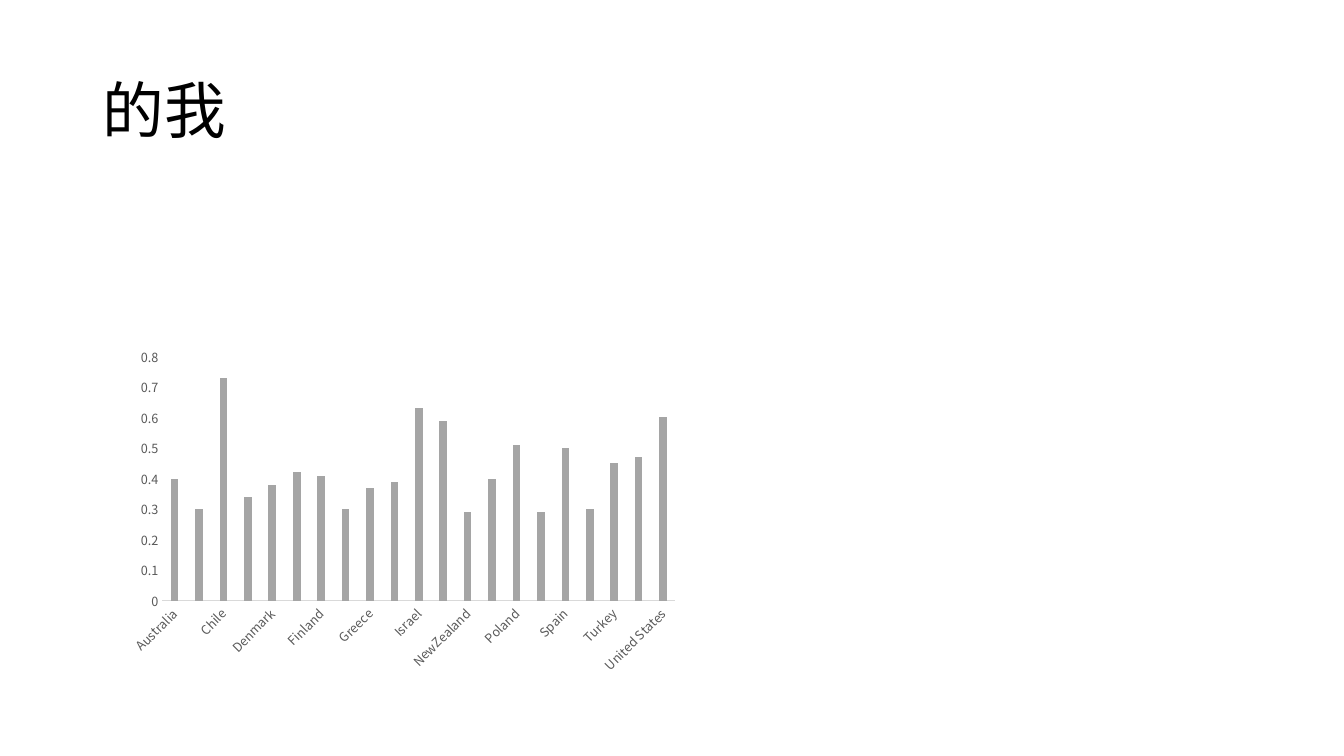
"""Build a slide with a title and a column chart of values by country."""
from dataclasses import dataclass

from lxml.etree import SubElement
from pptx import Presentation
from pptx.chart.data import CategoryChartData
from pptx.dml.color import RGBColor
from pptx.enum.chart import XL_CHART_TYPE as ChartType, XL_TICK_MARK as TickMark
from pptx.enum.text import MSO_ANCHOR as Anchor
from pptx.oxml.ns import qn
from pptx.util import Inches, Pt


@dataclass(frozen=True)
class Theme:
    font: str = "Noto Sans CJK SC"
    ink: RGBColor = RGBColor(0x00, 0x00, 0x00)
    label: RGBColor = RGBColor(0x59, 0x59, 0x59)
    rule: RGBColor = RGBColor(0xD9, 0xD9, 0xD9)
    column: RGBColor = RGBColor(0xA5, 0xA5, 0xA5)
    title_size: Pt = Pt(44)
    chart_size: Pt = Pt(10)
    label_size: Pt = Pt(9)


THEME = Theme()

COUNTRY_VALUES = {
    "Australia": 0.4, "Austria": 0.3, "Chile": 0.73, "Czech Republic": 0.34,
    "Denmark": 0.38, "Estonia": 0.42, "Finland": 0.41, "Germany": 0.3,
    "Greece": 0.37, "Ireland": 0.39, "Israel": 0.63, "Italy": 0.59,
    "NewZealand": 0.29, "Norway": 0.4, "Poland": 0.51, "Slovak Republic": 0.29,
    "Spain": 0.5, "Sweden": 0.3, "Turkey": 0.45, "United Kingdom": 0.47,
    "United States": 0.6,
}


def style_font(font, size, color):
    font.name = THEME.font
    font.size = size
    font.color.rgb = color


def add_title(page, text, left, top, width, height):
    box = page.shapes.add_textbox(Inches(left), Inches(top), Inches(width), Inches(height))
    frame = box.text_frame
    frame.word_wrap = True
    frame.vertical_anchor = Anchor.MIDDLE
    para = frame.paragraphs[0]
    para.line_spacing = 0.9
    span = para.add_run()
    span.text = text
    style_font(span.font, THEME.title_size, THEME.ink)
    SubElement(span.font._element, qn("a:ea"), typeface=THEME.font)


def style_axis(axis):
    axis.has_major_gridlines = False
    axis.major_tick_mark = axis.minor_tick_mark = TickMark.NONE
    style_font(axis.tick_labels.font, THEME.label_size, THEME.label)


def add_column_chart(page, values, left, top, width, height):
    data = CategoryChartData()
    data.categories = list(values)
    data.add_series("Series 1", list(values.values()))
    chart = page.shapes.add_chart(
        ChartType.COLUMN_CLUSTERED,
        Inches(left), Inches(top), Inches(width), Inches(height), data,
    ).chart
    chart.has_title = chart.has_legend = False
    style_font(chart.font, THEME.chart_size, THEME.ink)

    plot = chart.plots[0]
    plot.gap_width, plot.overlap = 219, -27
    plot.vary_by_categories = False
    fill = plot.series[0].format.fill
    fill.solid()
    fill.fore_color.rgb = THEME.column

    countries, scale = chart.category_axis, chart.value_axis
    style_axis(countries)
    countries.format.line.color.rgb = THEME.rule
    countries.format.line.width = Pt(0.75)
    body = countries._element.find(qn("c:txPr")).find(qn("a:bodyPr"))
    body.set("rot", "-2700000")
    body.set("vert", "horz")

    style_axis(scale)
    scale.format.line.fill.background()
    scale.minimum_scale, scale.maximum_scale, scale.major_unit = 0, 0.8, 0.1
    scale.tick_labels.number_format = "General"
    scale.tick_labels.number_format_is_linked = False


def main():
    deck = Presentation()
    deck.slide_width, deck.slide_height = Inches(13.33), Inches(7.5)
    page = deck.slides.add_slide(deck.slide_layouts[6])
    add_title(page, "的我", 0.92, 0.4, 11.5, 1.45)
    add_column_chart(page, COUNTRY_VALUES, 1.19, 3.38, 5.62, 3.37)
    deck.save("out.pptx")


if __name__ == "__main__":
    main()
